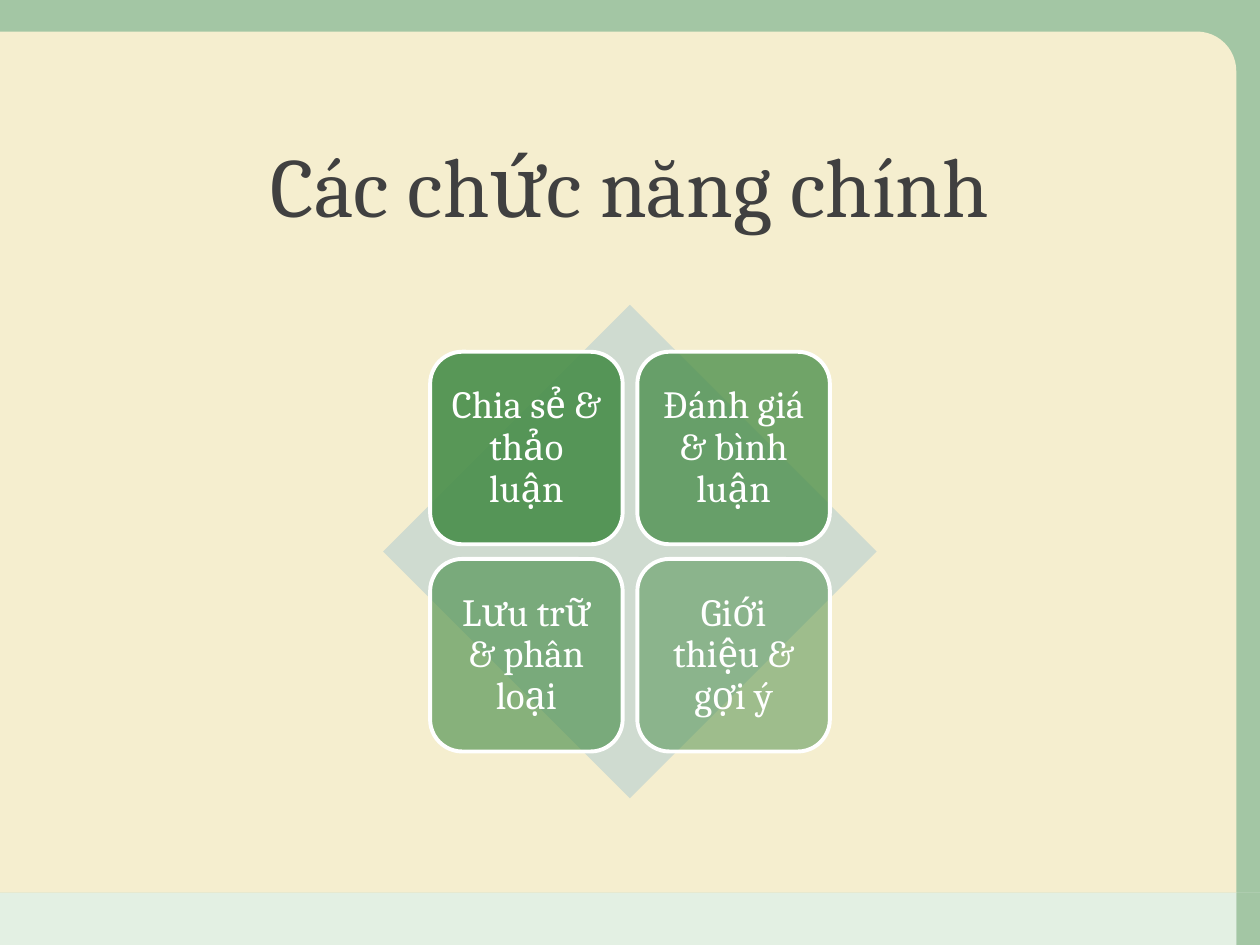
"""Build the main-functions slide: four tiles over a diamond."""
from lxml import etree
from pptx import Presentation
from pptx import util as u
from pptx.dml import color
from pptx.enum import shapes, text
from pptx.oxml import ns

TITLE = "Các chức năng chính"
TILES = [
    ("Chia sẻ & thảo luận", 90),
    ("Đánh giá & bình luận", 77),
    ("Lưu trữ & phân loại", 63),
    ("Giới thiệu & gợi ý", 50),
]
FONT, GREEN, WHITE = "Cambria", "488E4A", "FFFFFF"
WIDTH, HEIGHT = 720, 540
PANEL_TOP, PANEL_RIGHT, PANEL_BOTTOM = 18, 706.5, 510
CENTER_X, CENTER_Y = 360, 315.2
DIAMOND, TILE, GAP = 282, 110, 8.4
SHAPE = shapes.MSO_SHAPE
BACKDROP = [
    (SHAPE.RECTANGLE, (0, PANEL_BOTTOM, PANEL_RIGHT, HEIGHT - PANEL_BOTTOM), "D8EBD8", 70),
    (SHAPE.RECTANGLE, (PANEL_RIGHT, PANEL_BOTTOM, WIDTH - PANEL_RIGHT, HEIGHT - PANEL_BOTTOM), GREEN, 50),
    (SHAPE.RECTANGLE, (0, 0, WIDTH, PANEL_BOTTOM), GREEN, 50),
    (SHAPE.ROUND_1_RECTANGLE, (0, PANEL_TOP, PANEL_RIGHT, PANEL_BOTTOM - PANEL_TOP), "F5EECF", 100),
    (SHAPE.DIAMOND, (CENTER_X - DIAMOND / 2, CENTER_Y - DIAMOND / 2, DIAMOND, DIAMOND), "CFDBD0", 100),
]


def paint(target, value):
    if hasattr(target, "solid"):
        target.solid()
        target = target.fore_color
    else:
        target = target.color
    target.rgb = color.RGBColor.from_string(value)


def add_box(page, kind, frame, fill, opacity):
    box = page.shapes.add_shape(kind, *map(u.Pt, frame))
    box.shadow.inherit = False
    paint(box.fill, fill)
    box.line.fill.background()
    if opacity < 100:
        tint = box.element.spPr.find(ns.qn("a:solidFill"))[0]
        etree.SubElement(tint, ns.qn("a:alpha"), val=str(opacity * 1000))
    return box


def write(box, words, size, value, anchor):
    frame = box.text_frame
    frame.word_wrap = True
    frame.auto_size = text.MSO_AUTO_SIZE.NONE
    frame.vertical_anchor = anchor
    para = frame.paragraphs[0]
    para.alignment = text.PP_ALIGN.CENTER
    para.line_spacing = 0.9
    span = para.add_run()
    span.text = words
    span.font.name = FONT
    span.font.size = u.Pt(size)
    paint(span.font, value)
    return frame


def add_tile(page, index, words, opacity):
    row, column = divmod(index, 2)
    left = CENTER_X - TILE - GAP / 2 + column * (TILE + GAP)
    top = CENTER_Y - TILE - GAP / 2 + row * (TILE + GAP)
    tile = add_box(page, SHAPE.ROUNDED_RECTANGLE, (left, top, TILE, TILE), GREEN, opacity)
    paint(tile.line.fill, WHITE)
    tile.line.width = u.Pt(2.25)
    frame = write(tile, words, 22, WHITE, text.MSO_ANCHOR.MIDDLE)
    frame.margin_left = frame.margin_right = u.Pt(6.6)
    frame.margin_top = frame.margin_bottom = u.Pt(6.6)


def main():
    deck = Presentation()
    deck.slide_width, deck.slide_height = u.Pt(WIDTH), u.Pt(HEIGHT)
    page = deck.slides.add_slide(deck.slide_layouts[5])
    title = page.shapes.title
    for kind, frame, fill, opacity in BACKDROP:
        box = add_box(page, kind, frame, fill, opacity)
        if kind == SHAPE.ROUND_1_RECTANGLE:
            box.adjustments[0] = 0.046
    page.shapes.element.append(title.element)
    title.left, title.top, title.width, title.height = map(u.Pt, (76.5, 44.6, 643.5 - 76.5, 93.6))
    write(title, TITLE, 48, "404040", text.MSO_ANCHOR.BOTTOM)
    for index, (words, opacity) in enumerate(TILES):
        add_tile(page, index, words, opacity)
    deck.save("out.pptx")


if __name__ == "__main__":
    main()
